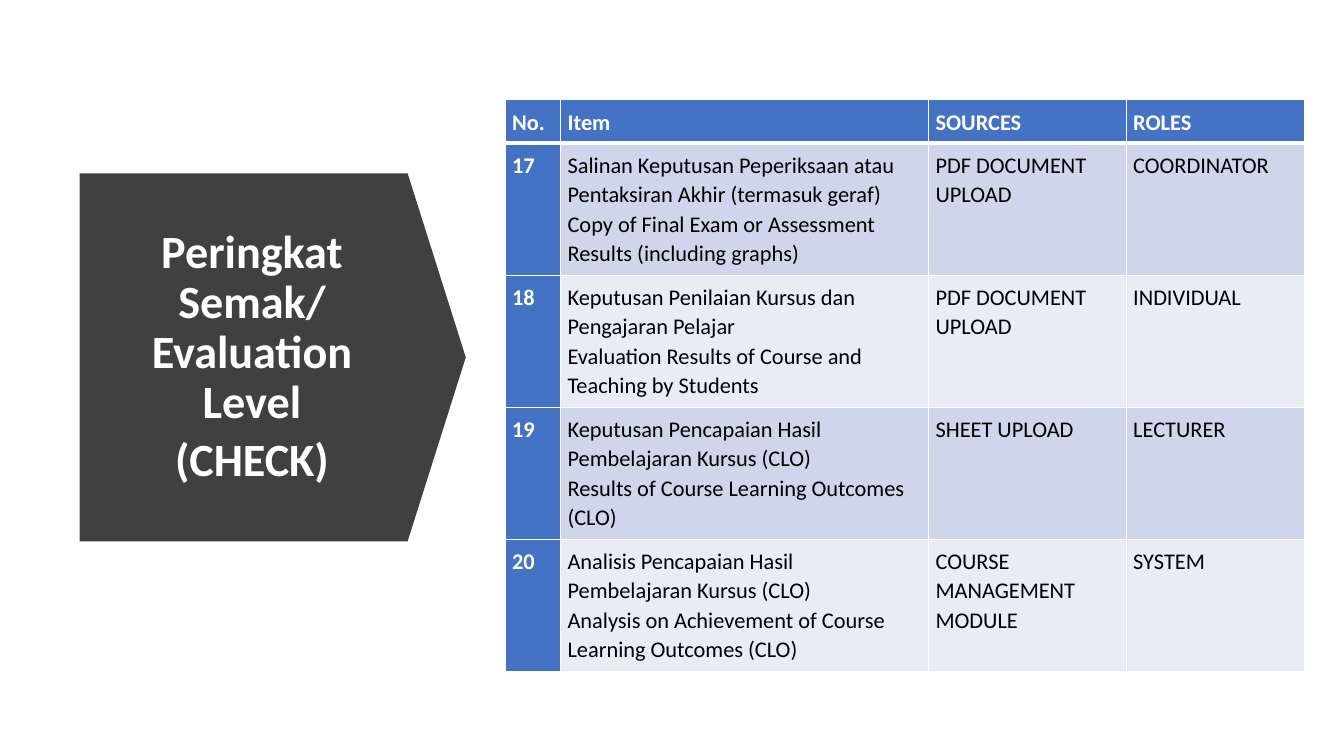
from dataclasses import dataclass

from lxml import etree
from pptx import Presentation
from pptx.dml.color import RGBColor
from pptx.enum.shapes import MSO_SHAPE as Preset
from pptx.enum.text import MSO_ANCHOR as Anchor, MSO_AUTO_SIZE as AutoSize, PP_ALIGN as Align
from pptx.oxml.ns import qn
from pptx.slide import Slide
from pptx.table import Table, _Cell as Cell
from pptx.text.text import _Paragraph as Paragraph
from pptx.util import Inches, Pt


@dataclass(frozen=True)
class Theme:
    font: str = "Calibri"
    white: str = "FFFFFF"
    black: str = "000000"
    arrow: str = "404040"
    accent: str = "4472C4"
    bands: tuple[str, str] = ("CFD5EA", "E9EBF5")
    title_size: int = 33
    table_size: int = 16
    border: int = 1
    header_border: int = 3


@dataclass(frozen=True)
class EvaluationItem:
    number: str
    malay: str
    english: str
    source: str
    role: str

    def columns(self) -> list[list[str]]:
        return [[self.number], [self.malay, self.english], [self.source], [self.role]]


THEME = Theme()
TITLE = ["Peringkat Semak/ Evaluation Level", "(CHECK)"]
HEADINGS = ["No.", "Item", "SOURCES", "ROLES"]
COLUMN_WIDTHS = [0.55, 3.65, 1.96, 1.77]
HEADER_HEIGHT, ITEM_HEIGHT = 0.43, 1.31
ITEMS = [
    EvaluationItem("17", "Salinan Keputusan Peperiksaan atau Pentaksiran Akhir (termasuk geraf)",
                   "Copy of Final Exam or Assessment Results (including graphs)",
                   "PDF DOCUMENT UPLOAD", "COORDINATOR"),
    EvaluationItem("18", "Keputusan Penilaian Kursus dan Pengajaran Pelajar",
                   "Evaluation Results of Course and Teaching by Students",
                   "PDF DOCUMENT UPLOAD", "INDIVIDUAL"),
    EvaluationItem("19", "Keputusan Pencapaian Hasil Pembelajaran Kursus (CLO)",
                   "Results of Course Learning Outcomes (CLO)",
                   "SHEET UPLOAD", "LECTURER"),
    EvaluationItem("20", "Analisis Pencapaian Hasil Pembelajaran Kursus (CLO)",
                   "Analysis on Achievement of Course Learning Outcomes (CLO)",
                   "COURSE MANAGEMENT MODULE", "SYSTEM"),
]


def add_run(paragraph: Paragraph, text: str, size: int, color: str, bold: bool) -> None:
    run = paragraph.add_run()
    run.text = text
    run.font.name = THEME.font
    run.font.size = Pt(size)
    run.font.bold = bold
    run.font.color.rgb = RGBColor.from_string(color)


def add_title(slide: Slide) -> None:
    title = slide.shapes.title
    title.left, title.top = Inches(1.06), Inches(2.15)
    title.width, title.height = Inches(2.88), Inches(2.79)
    frame = title.text_frame
    frame.word_wrap = True
    frame.auto_size = AutoSize.NONE
    frame.vertical_anchor = Anchor.MIDDLE
    for index, text in enumerate(TITLE):
        paragraph = frame.add_paragraph() if index else frame.paragraphs[0]
        paragraph.alignment = Align.CENTER
        paragraph.line_spacing = 0.9
        paragraph.space_before = Pt(0)
        paragraph.space_after = Pt(6)
        add_run(paragraph, text, THEME.title_size, THEME.white, True)


def add_arrow_behind_title(slide: Slide) -> None:
    arrow = slide.shapes.add_shape(
        Preset.DOWN_ARROW, Inches(0.88), Inches(1.63), Inches(3.65), Inches(3.83))
    arrow.rotation = 270
    arrow.adjustments[0] = 1
    arrow.adjustments[1] = 0.158
    arrow.shadow.inherit = False
    arrow.fill.solid()
    arrow.fill.fore_color.rgb = RGBColor.from_string(THEME.arrow)
    arrow.line.fill.background()
    slide.shapes.title.element.addprevious(arrow.element)


def set_borders(cell: Cell, top: int, bottom: int) -> None:
    properties = cell._tc.get_or_add_tcPr()
    widths = {"a:lnL": THEME.border, "a:lnR": THEME.border, "a:lnT": top, "a:lnB": bottom}
    for index, (tag, width) in enumerate(widths.items()):
        line = etree.Element(qn(tag), w=str(Pt(width)))
        fill = etree.SubElement(line, qn("a:solidFill"))
        etree.SubElement(fill, qn("a:srgbClr"), val=THEME.white)
        properties.insert(index, line)


def fill_cell(table: Table, row: int, column: int, lines: list[str]) -> None:
    cell = table.cell(row, column)
    is_header = row == 0
    is_accent = is_header or column == 0
    cell.fill.solid()
    cell.fill.fore_color.rgb = RGBColor.from_string(
        THEME.accent if is_accent else THEME.bands[(row - 1) % 2])
    cell.vertical_anchor = Anchor.BOTTOM if is_header else Anchor.TOP
    cell.margin_left = cell.margin_right = Inches(0.07)
    cell.margin_top = cell.margin_bottom = Inches(0.07)
    set_borders(cell,
                THEME.header_border if row == 1 else THEME.border,
                THEME.header_border if is_header else THEME.border)
    paragraph = cell.text_frame.paragraphs[0]
    paragraph.line_spacing = 1.07
    paragraph.space_after = Pt(8)
    for index, text in enumerate(lines):
        if index:
            paragraph.add_line_break()
        add_run(paragraph, text, THEME.table_size,
                THEME.white if is_accent else THEME.black, is_accent)


def add_items_table(slide: Slide) -> None:
    rows = [[[heading] for heading in HEADINGS]] + [item.columns() for item in ITEMS]
    heights = [HEADER_HEIGHT] + [ITEM_HEIGHT] * len(ITEMS)
    table = slide.shapes.add_table(
        len(rows), len(HEADINGS), Inches(5.01), Inches(0.99),
        Inches(sum(COLUMN_WIDTHS)), Inches(sum(heights))).table
    table.first_col = True
    for column, width in zip(table.columns, COLUMN_WIDTHS):
        column.width = Inches(width)
    for row, height in zip(table.rows, heights):
        row.height = Inches(height)
    for row_index, row_lines in enumerate(rows):
        for column_index, lines in enumerate(row_lines):
            fill_cell(table, row_index, column_index, lines)


def main() -> None:
    presentation = Presentation()
    presentation.slide_width = Inches(13.33)
    presentation.slide_height = Inches(7.5)
    slide = presentation.slides.add_slide(presentation.slide_layouts.get_by_name("Title Only"))
    add_title(slide)
    add_arrow_behind_title(slide)
    add_items_table(slide)
    presentation.save("out.pptx")


if __name__ == "__main__":
    main()
